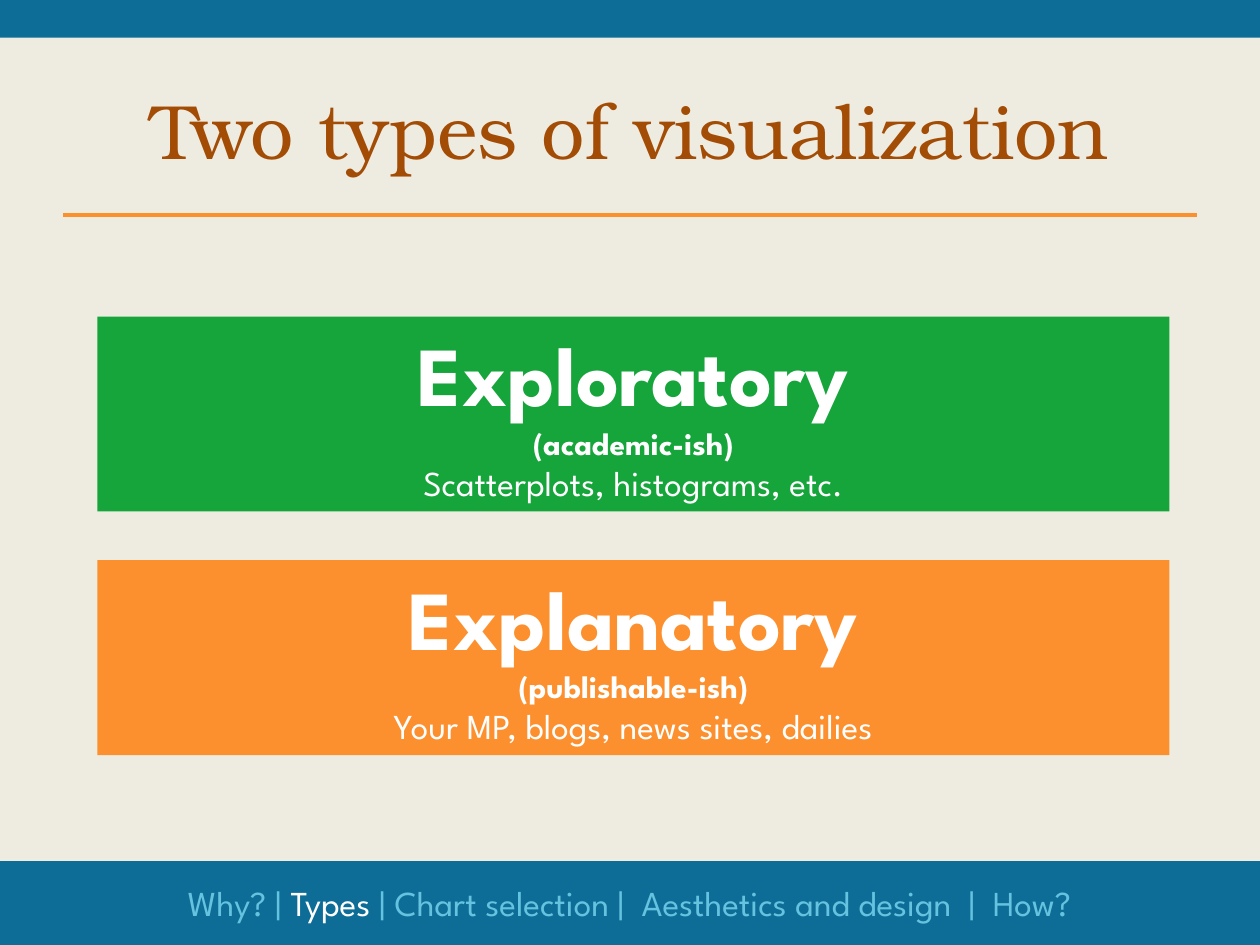
from lxml import etree
from pptx import Presentation
from pptx.dml.color import RGBColor
from pptx.enum.shapes import MSO_CONNECTOR, MSO_SHAPE
from pptx.enum.text import MSO_ANCHOR, MSO_AUTO_SIZE, PP_ALIGN
from pptx.oxml.ns import qn
from pptx.util import Pt

RECTANGLE = MSO_SHAPE.RECTANGLE
STRAIGHT = MSO_CONNECTOR.STRAIGHT
CENTER = PP_ALIGN.CENTER
TOP, MIDDLE = MSO_ANCHOR.TOP, MSO_ANCHOR.MIDDLE
GROW, FIXED = MSO_AUTO_SIZE.SHAPE_TO_FIT_TEXT, MSO_AUTO_SIZE.NONE

WIDTH, HEIGHT = 720, 540
BODY_FONT, TITLE_FONT = "League Spartan", "TeX Gyre Bonum"
CREAM, BLUE, ORANGE, GREEN = "EEECE1", "0D6D97", "FD902E", "15A53B"
BROWN, LIGHT_BLUE, WHITE = "A34C05", "65C3DF", "FFFFFF"

CARD_LEFT, CARD_TOP, CARD_WIDTH, CARD_HEIGHT = 55.6, 180.9, 612.6, 111.4
CARD_PITCH = 139.2
CARDS = [
    (GREEN, "Exploratory", "(academic-ish)", "Scatterplots, histograms, etc."),
    (ORANGE, "Explanatory", "(publishable-ish)", "Your MP, blogs, news sites, dailies"),
]
SECTIONS = [
    ("Why? | ", LIGHT_BLUE),
    ("Types ", WHITE),
    ("| Chart selection |  Aesthetics and design  |  How?", LIGHT_BLUE),
]


def color(hex_string):
    return RGBColor.from_string(hex_string)


def style_paragraph(paragraph, font_name, size, hex_string):
    paragraph.alignment = CENTER
    font = paragraph.font
    font.name, font.size = font_name, Pt(size)
    font.color.rgb = color(hex_string)


def add_run(paragraph, text):
    run = paragraph.add_run()
    run.text = text
    return run


def add_rectangle(slide, left, top, width, height, fill):
    shape = slide.shapes.add_shape(RECTANGLE, Pt(left), Pt(top), Pt(width), Pt(height))
    shape.shadow.inherit = False
    shape.fill.solid()
    shape.fill.fore_color.rgb = color(fill)
    shape.line.fill.background()
    return shape


def add_rule(slide, left, top, width):
    rule = slide.shapes.add_connector(STRAIGHT, Pt(left), Pt(top), Pt(left + width), Pt(top))
    rule.line.color.rgb = color(ORANGE)
    rule.line.width = Pt(2)
    etree.SubElement(rule._element.spPr, qn("a:effectLst"))


def add_title(slide, left, top, width, height, text):
    title = slide.shapes.title
    title.left, title.top, title.width, title.height = Pt(left), Pt(top), Pt(width), Pt(height)
    frame = title.text_frame
    frame.text = text
    frame.vertical_anchor = MIDDLE
    frame.auto_size = FIXED
    style_paragraph(frame.paragraphs[0], TITLE_FONT, 44, BROWN)


def add_card(slide, left, top, width, height, fill, heading, audience, examples):
    frame = add_rectangle(slide, left, top, width, height, fill).text_frame
    frame.word_wrap = True
    frame.vertical_anchor = TOP
    frame.auto_size = GROW

    paragraph = frame.paragraphs[0]
    style_paragraph(paragraph, BODY_FONT, 18, WHITE)
    paragraph.font.bold = True
    add_run(paragraph, heading).font.size = Pt(48)
    paragraph.add_line_break()
    add_run(paragraph, audience)

    paragraph = frame.add_paragraph()
    style_paragraph(paragraph, BODY_FONT, 20, WHITE)
    add_run(paragraph, examples)


def add_footer(slide, left, top, width, height):
    """Draw the section list, with the current section in white."""
    box = slide.shapes.add_textbox(Pt(left), Pt(top), Pt(width), Pt(height))
    frame = box.text_frame
    frame.word_wrap = True
    frame.auto_size = GROW
    paragraph = frame.paragraphs[0]
    style_paragraph(paragraph, BODY_FONT, 20, LIGHT_BLUE)
    for text, hex_string in SECTIONS:
        add_run(paragraph, text).font.color.rgb = color(hex_string)


def main():
    presentation = Presentation()
    presentation.slide_width, presentation.slide_height = Pt(WIDTH), Pt(HEIGHT)
    slide = presentation.slides.add_slide(presentation.slide_layouts[5])
    slide.background.fill.solid()
    slide.background.fill.fore_color.rgb = color(CREAM)

    add_rectangle(slide, 0, 492, WIDTH, 48, BLUE)
    add_rectangle(slide, 0, 0, WIDTH, 21.6, BLUE)
    add_rule(slide, 36, 122.8, 648)
    add_title(slide, 36, 36, 648, 75.6, "Two types of visualization")
    for index, card in enumerate(CARDS):
        top = CARD_TOP + index * CARD_PITCH
        add_card(slide, CARD_LEFT, top, CARD_WIDTH, CARD_HEIGHT, *card)
    add_footer(slide, 0, 500.4, WIDTH, 31.5)

    presentation.save("out.pptx")


if __name__ == "__main__":
    main()
